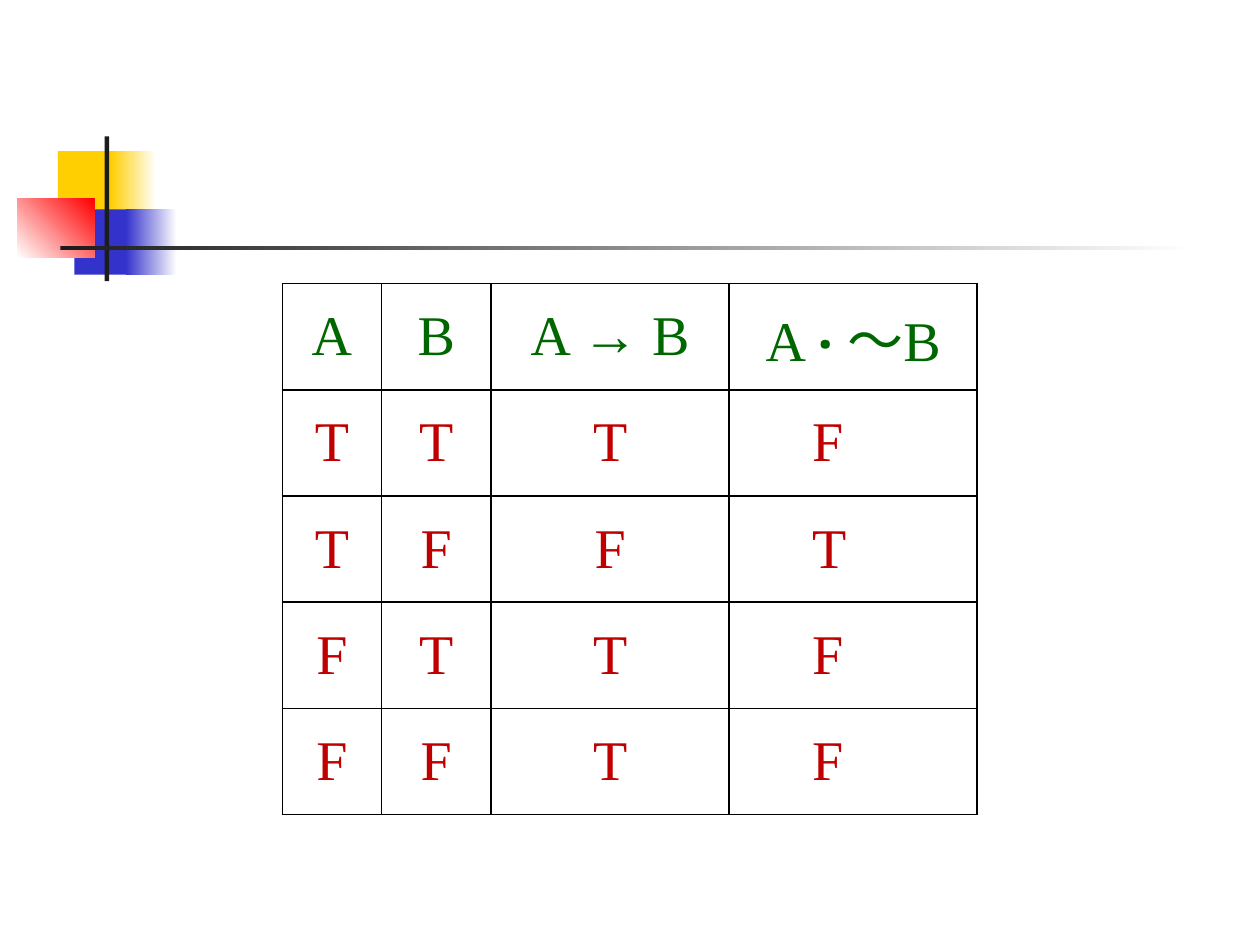
from dataclasses import dataclass
from lxml import etree
from pptx import Presentation
from pptx.dml.color import RGBColor as Rgb
from pptx.enum.shapes import MSO_SHAPE as Shape
from pptx.enum.text import MSO_ANCHOR as Anchor, PP_ALIGN as Align
from pptx.oxml import parse_xml
from pptx.oxml.ns import nsdecls
from pptx.util import Cm, Pt


@dataclass(frozen=True)
class Theme:
    font: str = "Times New Roman"
    size: int = 32
    header: str = "006600"
    value: str = "C00000"
    border: str = "000000"
    border_width: int = 1
    yellow: str = "FFCF01"
    blue: str = "3333CC"
    red: str = "FF0000"
    dark: str = "1C1C1C"
    white: str = "FFFFFF"


theme = Theme()


def add_text(paragraph, text, color=theme.value, bold=False, align=Align.CENTER):
    paragraph.alignment = align
    run = paragraph.add_run()
    run.text = text
    run.font.name = theme.font
    run.font.size = Pt(theme.size)
    run.font.bold = bold
    run.font.color.rgb = Rgb.from_string(color)


def add_borders(cell):
    properties = cell._tc.get_or_add_tcPr()
    for index, side in enumerate(("lnL", "lnR", "lnT", "lnB")):
        properties.insert(index, parse_xml(
            f'<a:{side} {nsdecls("a")} w="{Pt(theme.border_width)}"><a:solidFill>'
            f'<a:srgbClr val="{theme.border}"/></a:solidFill></a:{side}>'))


presentation = Presentation()
presentation.slide_width, presentation.slide_height = Cm(25.4), Cm(19.05)
slide = presentation.slides.add_slide(presentation.slide_layouts[6])

# Corner ornament: left, top, width, height, colours, gradient angle
ornament = [
    (1.17, 3.05, 1.22, 1.32, [theme.yellow], 0),
    (2.23, 3.05, 0.92, 1.32, [theme.yellow, theme.white], 0),
    (1.5, 4.22, 1.18, 1.32, [theme.blue], 0),
    (2.54, 4.22, 1.02, 1.32, [theme.blue, theme.white], 0),
    (0.35, 4.01, 1.55, 1.18, [theme.white, theme.red], 45),
    (2.11, 2.75, 0.09, 2.92, [theme.dark], 0),
    (1.22, 4.95, 22.86, 0.09, [theme.dark, theme.white], 0),
]
for left, top, width, height, colors, angle in ornament:
    shape = slide.shapes.add_shape(Shape.RECTANGLE, Cm(left), Cm(top), Cm(width), Cm(height))
    shape.shadow.inherit = False
    shape.line.fill.background()
    if len(colors) == 1:
        shape.fill.solid()
        shape.fill.fore_color.rgb = Rgb.from_string(colors[0])
    else:
        shape.fill.gradient()
        shape.fill.gradient_angle = angle
        for stop, color in zip(shape.fill.gradient_stops, colors):
            stop.color.rgb = Rgb.from_string(color)

# Truth table
headers = [["A"], ["B"], ["A → B"], ["A ", "‧ ", "～B"]]
truth_values = ["TTTF", "TFFT", "FTTF", "FFTF"]
column_widths = [2, 2.21, 4.8, 5]
row_height = 2.14
rows = [headers] + [[[value] for value in row] for row in truth_values]

table = slide.shapes.add_table(
    len(rows), len(column_widths), Cm(5.69), Cm(5.72),
    Cm(sum(column_widths)), Cm(row_height * len(rows))).table
table.first_row = table.horz_banding = False
for column, width in zip(table.columns, column_widths):
    column.width = Cm(width)

for row_index, row in enumerate(rows):
    table.rows[row_index].height = Cm(row_height)
    for column_index, parts in enumerate(row):
        cell = table.cell(row_index, column_index)
        cell.vertical_anchor = Anchor.MIDDLE
        cell.fill.background()
        add_borders(cell)
        # Values of the last column start at a fixed indent
        indented = row_index > 0 and column_index == len(row) - 1
        if indented:
            cell.margin_left = Cm(1.67)
        for part in parts:
            add_text(cell.text_frame.paragraphs[0], part,
                     color=theme.value if row_index else theme.header,
                     bold=part.startswith("‧"),
                     align=Align.LEFT if indented else Align.CENTER)

presentation.save("out.pptx")
